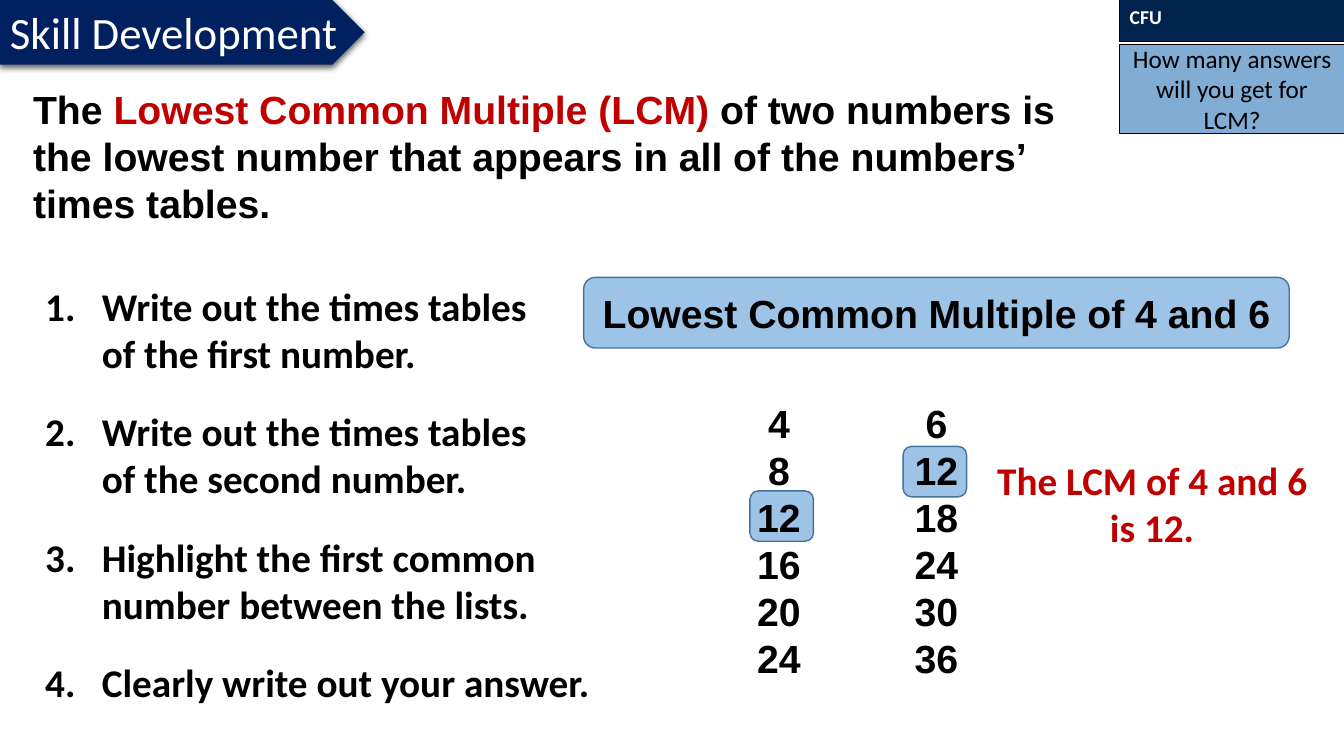
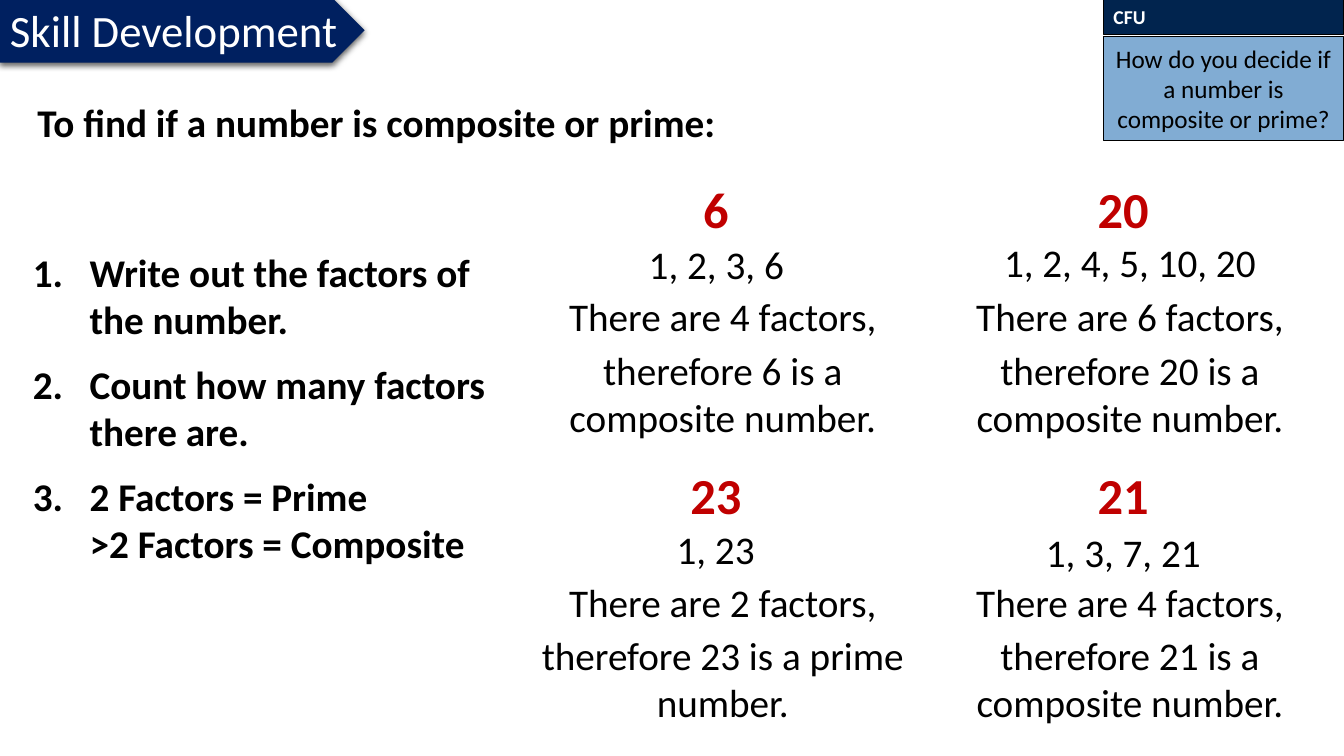
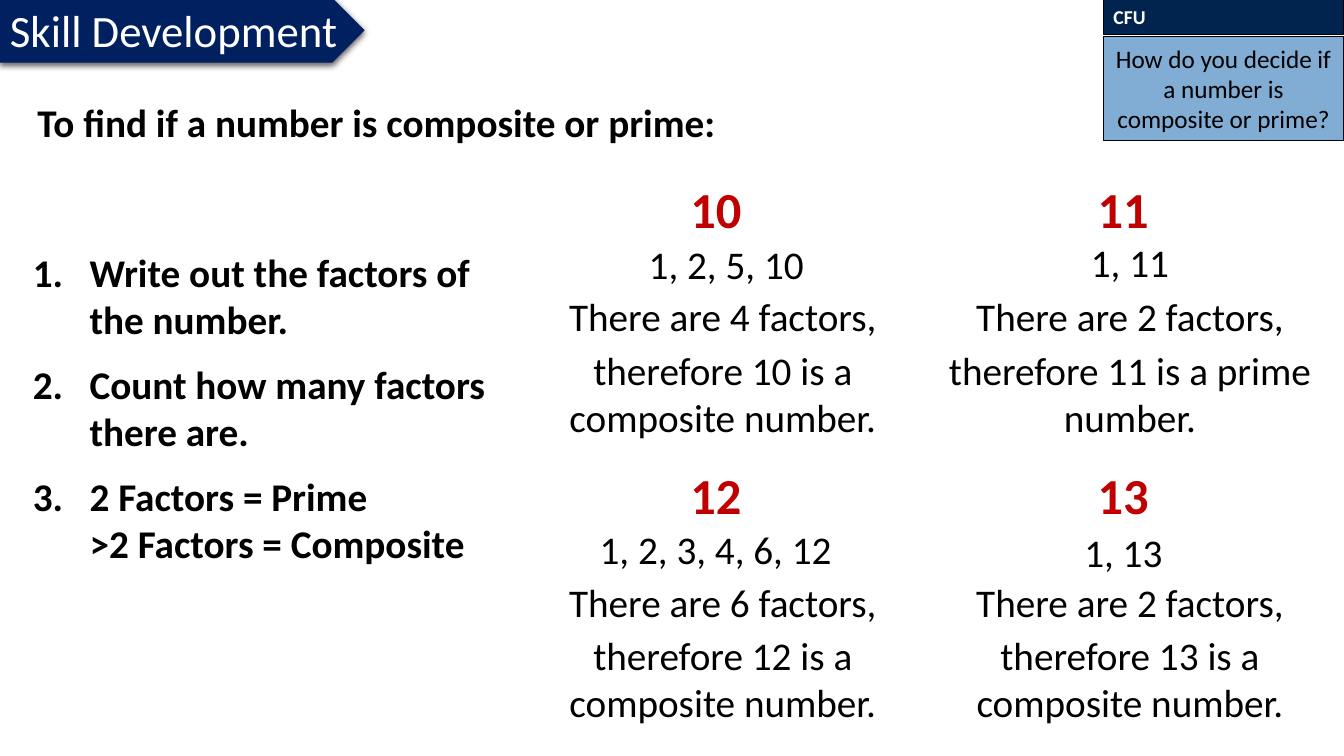
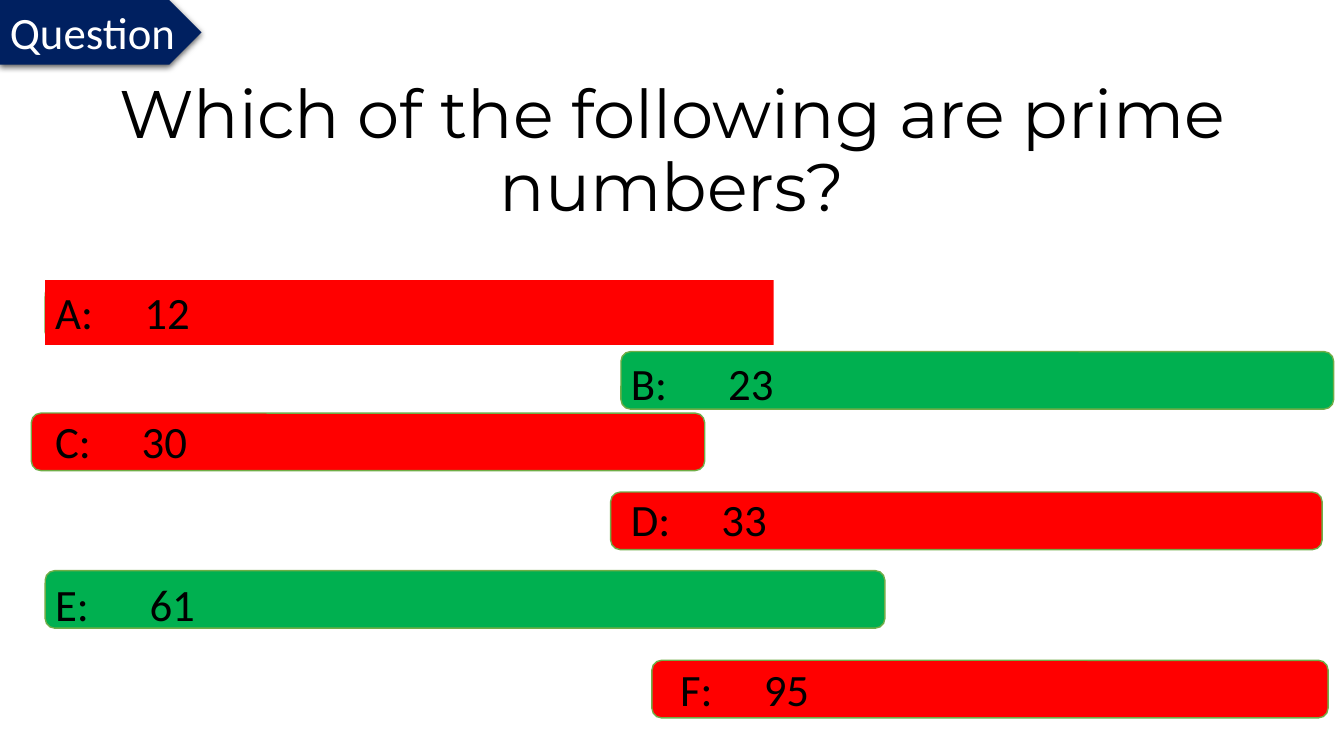
import dataclasses
import itertools

import lxml.etree
import pptx
import pptx.dml.color
import pptx.enum.shapes
import pptx.enum.text
import pptx.oxml.ns
import pptx.util

Cm = pptx.util.Cm
Pt = pptx.util.Pt
Shape = pptx.enum.shapes.MSO_SHAPE
Align = pptx.enum.text.PP_ALIGN
Anchor = pptx.enum.text.MSO_ANCHOR
AutoSize = pptx.enum.text.MSO_AUTO_SIZE
qn = pptx.oxml.ns.qn


@dataclasses.dataclass(frozen=True)
class Theme:
    body_font: str = "Calibri"
    number_font: str = "Arial"
    question_font: str = "Montserrat"
    black: str = "000000"
    white: str = "FFFFFF"
    accent: str = "C00000"
    banner: str = "002060"
    check_head: str = "01244E"
    check_body: str = "2E75B6"
    pill: str = "9DC3E6"
    pill_line: str = "43739E"
    right: str = "00B050"
    wrong: str = "FF0000"
    answer_line: str = "70AD47"
    small: int = 14
    note: int = 18
    body: int = 28
    banner_size: int = 32
    number: int = 36
    question: int = 48


THEME = Theme()

LCM_HEADING = [
    ("The ", THEME.black),
    ("Lowest Common Multiple (LCM) ", THEME.accent),
    ("of two numbers is the lowest number that appears in all of the numbers’ times tables.", THEME.black),
]
LCM_STEPS = [
    ("Write out the times tables of the first number.", 12.7),
    ("Write out the times tables of the second number.", 12.95),
    ("Highlight the first common number between the lists.", 13.54),
    ("Clearly write out your answer.", 14.86),
]
TIMES_TABLES = [(4, 17.04), (6, 21.01)]
HIGHLIGHTS = [(18.9, 12.37), (22.76, 11.25)]

PRIME_STEPS = [
    ("Write out the factors of the number.", 12.7),
    ("Count how many factors there are.", 12.95),
    ("2 Factors = Prime\n>2 Factors = Composite", 13.54),
]
PRIME_SLIDES = [
    [
        ("6", "1, 2, 3, 6", "composite"),
        ("20", "1, 2, 4, 5, 10, 20", "composite"),
        ("23", "1, 23", "prime"),
        ("21", "1, 3, 7, 21", "composite"),
    ],
    [
        ("10", "1, 2, 5, 10", "composite"),
        ("11", "1, 11", "prime"),
        ("12", "1, 2, 3, 4, 6, 12", "composite"),
        ("13", "1, 13", "composite"),
    ],
]
FACTOR_PLACES = [
    (16.1, 5.94, 4.6, Align.LEFT),
    (25.02, 5.87, 6.91, Align.CENTER),
    (14.76, 13.11, 6.55, Align.CENTER),
    (26.01, 13.18, 4.6, Align.CENTER),
]

# letter, value, bar fill, bar (left, top, width), label (left, top, width), tab, label fill
ANSWERS = [
    ("A", 12, THEME.right, (1.14, 7.16, 18.21), (1.14, 7.06, 18.36), 2.25, THEME.wrong),
    ("B", 23, THEME.right, (15.65, 8.86, 17.96), (15.65, 8.84, 18.03), 2.45, None),
    ("C", 30, THEME.wrong, (0.79, 10.41, 16.97), (1.14, 10.31, 21.34), 2.18, None),
    ("D", 33, THEME.wrong, (15.39, 12.4, 17.93), (15.65, 12.27, 16.61), 2.28, None),
    ("E", 61, THEME.right, (1.14, 14.38, 21.16), (1.14, 14.4, 21.16), 2.38, None),
    ("F", 95, THEME.wrong, (16.43, 16.64, 17.04), (16.89, 16.56, 16.99), 2.11, None),
]


def rgb(value):
    return pptx.dml.color.RGBColor.from_string(value)


def write(shape, paragraphs, size=THEME.body, color=THEME.black, bold=False,
          font=THEME.body_font, align=Align.LEFT, anchor=Anchor.TOP):
    frame = shape.text_frame
    frame.word_wrap = True
    frame.auto_size = AutoSize.NONE
    frame.vertical_anchor = anchor
    for index, content in enumerate(paragraphs):
        para = frame.paragraphs[0] if index == 0 else frame.add_paragraph()
        para.alignment = align
        if isinstance(content, str):
            para.text = content
            colors = itertools.repeat(color)
        else:
            for words, _ in content:
                para.add_run().text = words
            colors = [tone for _, tone in content]
        for span, tone in zip(para.runs, colors):
            span.font.name = font
            span.font.size = Pt(size)
            span.font.bold = bold
            span.font.color.rgb = rgb(tone)
    return shape


def add_text(page, place, paragraphs, **style):
    box = page.shapes.add_textbox(*map(Cm, place))
    return write(box, paragraphs, **style)


def add_block(page, kind, place, fill, line=None, weight=1):
    block = page.shapes.add_shape(kind, *map(Cm, place))
    block.shadow.inherit = False
    block.fill.solid()
    block.fill.fore_color.rgb = rgb(fill)
    if line:
        block.line.color.rgb = rgb(line)
        block.line.width = Pt(weight)
    else:
        block.line.fill.background()
    return block


def add_child(parent, tag, **attributes):
    return lxml.etree.SubElement(parent, qn(tag), {key: str(value) for key, value in attributes.items()})


def add_banner(page, label, width, top=0):
    banner = add_block(page, Shape.PENTAGON, (0, top, width, 1.63), THEME.banner)
    write(banner, [label], size=THEME.banner_size, color=THEME.white)
    banner.text_frame.word_wrap = False
    banner.text_frame.auto_size = AutoSize.SHAPE_TO_FIT_TEXT
    effects = banner._element.spPr.find(qn("a:effectLst"))
    shadow = add_child(effects, "a:outerShdw", blurRad=Pt(4.5), dist=Pt(1.5), dir=5400000, rotWithShape=0)
    add_child(add_child(shadow, "a:srgbClr", val=THEME.black), "a:alpha", val=63000)


def add_check(page, left, width, head_height, body_top, body_height, question):
    head = add_block(page, Shape.RECTANGLE, (left, 0, width, head_height), THEME.check_head, THEME.black, 0.75)
    write(head, ["CFU"], size=THEME.small, color=THEME.white, bold=True)
    body = add_block(page, Shape.RECTANGLE, (left, body_top, width, body_height),
                     THEME.check_body, THEME.black, 0.75)
    tint = body._element.spPr.find(qn("a:solidFill")).find(qn("a:srgbClr"))
    add_child(tint, "a:alpha", val=60000)
    write(body, [question], size=THEME.note, align=Align.CENTER, anchor=Anchor.MIDDLE)


def add_steps(page, steps, left, top, pitch):
    for index, (step, width) in enumerate(steps):
        height = 2.64 if width < 14 else 1.45
        box = add_text(page, (left, top + index * pitch, width, height), [step], bold=True)
        properties = box.text_frame.paragraphs[0]._p.get_or_add_pPr()
        properties.set("marL", str(Cm(1.43)))
        properties.set("indent", str(-Cm(1.43)))
        add_child(properties, "a:buFont", typeface="+mj-lt")
        add_child(properties, "a:buAutoNum", type="arabicPeriod", startAt=index + 1)


def add_page(deck, place, heading, **style):
    page = deck.slides.add_slide(deck.slide_layouts[5])
    title = page.shapes.title
    title.left, title.top, title.width, title.height = map(Cm, place)
    write(title, [heading], **style)
    return page


def build_lcm(deck):
    page = add_page(deck, (0.58, 2.01, 27.3, 3.84), LCM_HEADING, bold=True, font=THEME.number_font)
    caption = add_block(page, Shape.ROUNDED_RECTANGLE, (14.71, 6.99, 17.78, 1.78), THEME.pill, THEME.pill_line)
    caption.text_frame.margin_left = caption.text_frame.margin_right = 0
    write(caption, ["Lowest Common Multiple of 4 and 6"], bold=True, font=THEME.number_font,
          align=Align.CENTER, anchor=Anchor.MIDDLE)
    for left, top in HIGHLIGHTS:
        add_block(page, Shape.ROUNDED_RECTANGLE, (left, top, 1.6, 1.27), THEME.pill, THEME.pill_line)
    for number, left in TIMES_TABLES:
        multiples = [str(number * factor) for factor in range(1, 7)]
        add_text(page, (left, 9.93, 5.18, 7.44), multiples, bold=True,
                 font=THEME.number_font, align=Align.CENTER)
    add_steps(page, LCM_STEPS, 0.89, 6.99, 3.16)
    add_text(page, (24.49, 11.38, 9.09, 2.64), ["The LCM of 4 and 6 is 12."],
             color=THEME.accent, bold=True, align=Align.CENTER)
    add_check(page, 28.22, 5.66, 1.04, 1.12, 2.24, "How many answers will you get for LCM?")
    add_banner(page, "Skill Development", 9.19)


def build_primes(deck, cells):
    page = add_page(deck, (0.69, 2.36, 24.05, 1.45), "To find if a number is composite or prime:", bold=True)
    add_banner(page, "Skill Development", 9.19, -0.05)
    add_check(page, 27.81, 6.05, 0.86, 0.91, 2.64, "How do you decide if a number is composite or prime?")
    add_steps(page, PRIME_STEPS, 0.58, 6.12, 2.83)
    for index, (number, factors, kind) in enumerate(cells):
        row, column = divmod(index, 2)
        left, top = 12.83 + column * 10.26, 4.37 + row * 7.19
        add_text(page, (left + 4.26, top, 1.91, 1.8), [number], size=THEME.number,
                 color=THEME.accent, bold=True, align=Align.CENTER)
        factor_left, factor_top, width, align = FACTOR_PLACES[index]
        add_text(page, (factor_left, factor_top, width, 1.45), [factors], align=align)
        count = len(factors.split(", "))
        add_text(page, (left, top + 2.88, 10.77, 1.45), [f"There are {count} factors,"], align=Align.CENTER)
        add_text(page, (left, top + 4.22, 10.77, 2.64), [f"therefore {number} is a {kind} number."],
                 align=Align.CENTER)


def build_question(deck):
    page = add_page(deck, (0.2, 1.9, 33.48, 3.68), "Which of the following are prime numbers?",
                    size=THEME.question, font=THEME.question_font, align=Align.CENTER)
    page.shapes.title.text_frame.paragraphs[0].line_spacing = 0.9
    add_banner(page, "Question", 5.08)
    for letter, value, fill, bar, label, tab, label_fill in ANSWERS:
        add_block(page, Shape.ROUNDED_RECTANGLE, (*bar, 1.45), fill, THEME.answer_line)
        box = page.shapes.add_textbox(*map(Cm, (*label, 1.63)))
        if label_fill:
            box.fill.solid()
            box.fill.fore_color.rgb = rgb(label_fill)
        properties = box.text_frame.paragraphs[0]._p.get_or_add_pPr()
        add_child(add_child(properties, "a:tabLst"), "a:tab", pos=Cm(tab), algn="l")
        write(box, [f"{letter}:\t{value}"], size=THEME.banner_size)


def main():
    deck = pptx.Presentation()
    deck.slide_width, deck.slide_height = Cm(33.87), Cm(19.05)
    build_lcm(deck)
    for cells in PRIME_SLIDES:
        build_primes(deck, cells)
    build_question(deck)
    deck.save("out.pptx")


if __name__ == "__main__":
    main()
